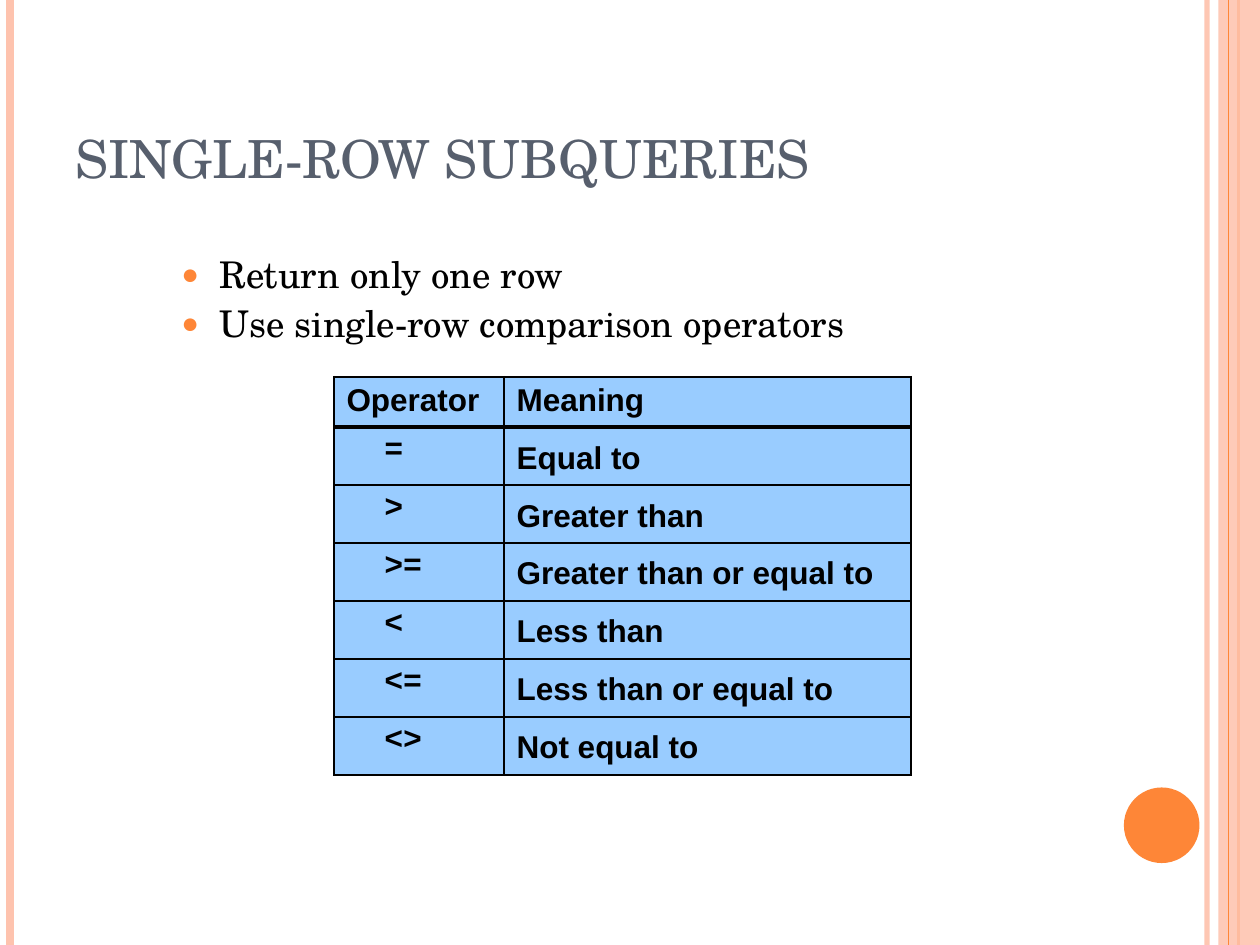
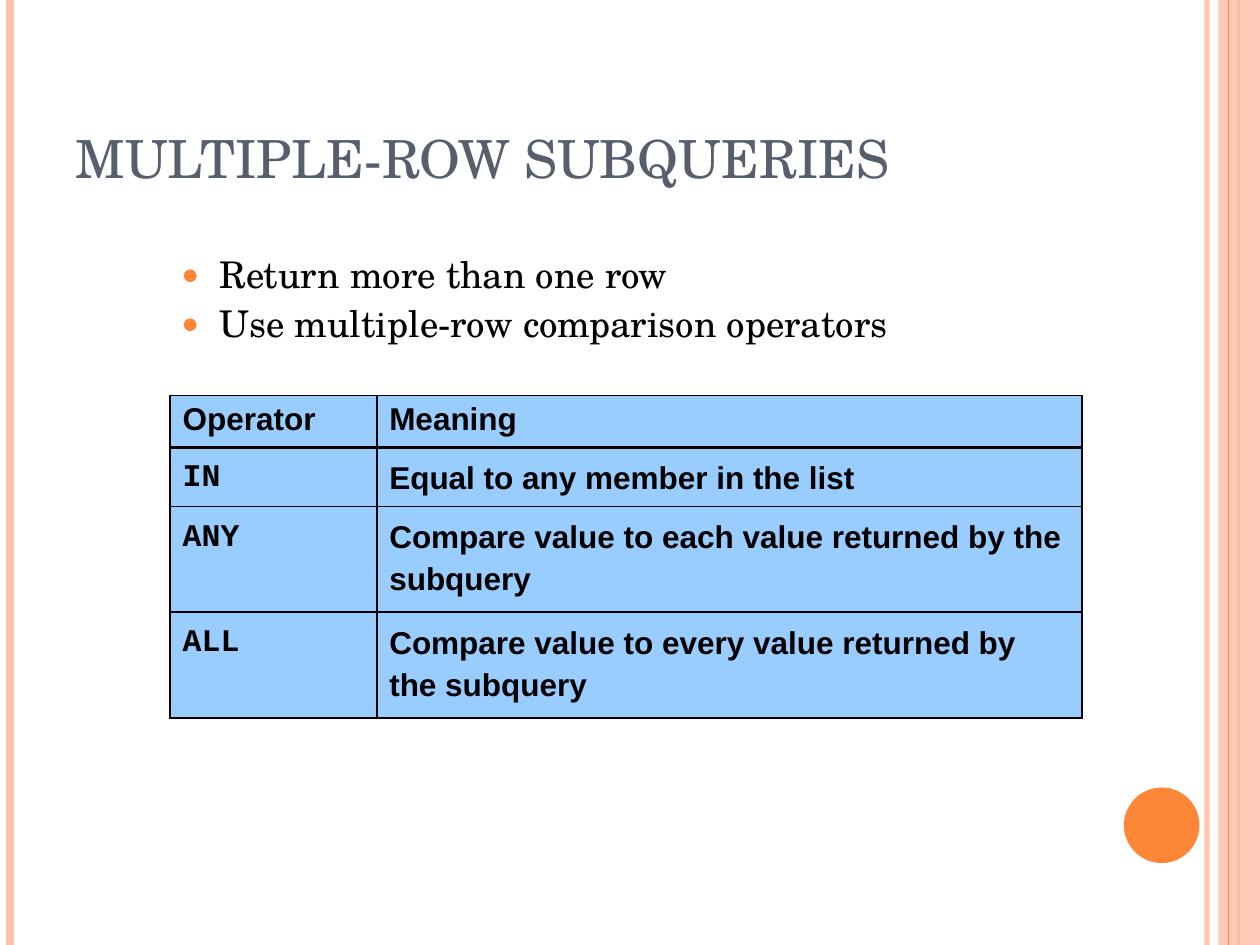
from dataclasses import dataclass

from lxml import etree
from pptx import Presentation
from pptx.dml.color import RGBColor
from pptx.enum.shapes import MSO_CONNECTOR, MSO_SHAPE
from pptx.enum.text import MSO_ANCHOR, MSO_AUTO_SIZE, PP_ALIGN
from pptx.oxml.ns import qn
from pptx.util import Inches, Pt

STRAIGHT = MSO_CONNECTOR.STRAIGHT
RECTANGLE, OVAL = MSO_SHAPE.RECTANGLE, MSO_SHAPE.OVAL
TOP, BOTTOM = MSO_ANCHOR.TOP, MSO_ANCHOR.BOTTOM
LEFT = PP_ALIGN.LEFT
NO_FIT = MSO_AUTO_SIZE.NONE

COLORS = {"peach": "FEC3AE", "orange": "FE8637", "slate": "575F6D",
          "cell": "99CCFF", "black": "000000"}
SERIF, SANS, MONO = "TeX Gyre Schola", "Arial", "Courier New"
SLIDE_WIDTH, SLIDE_HEIGHT = 10, 7.5
THIN, THICK = 1.08, 2.21


@dataclass(frozen=True)
class Stripe:
    x: float
    color: str
    weight: float
    opacity: int = 100


@dataclass(frozen=True)
class Panel:
    kind: int
    box: tuple[float, float, float, float]
    color: str
    opacity: int = 100


@dataclass(frozen=True)
class CellStyle:
    font: str
    paragraph: dict
    indent: float = 0


@dataclass(frozen=True)
class OperatorTable:
    left: float
    top: float
    columns: tuple[float, float]
    heights: list[float]
    operator_style: CellStyle
    meanings: list[tuple[str, str]]


@dataclass(frozen=True)
class Topic:
    title: str
    points: list[str]
    table: OperatorTable


# Frame shared by the slides, from back to front
FRAME = [
    Stripe(9.58, "peach", 3, 93),
    Stripe(0.08, "peach", 4.5),
    Stripe(9.83, "orange", 1.5),
    Panel(RECTANGLE, (9.67, 0, 0.33, SLIDE_HEIGHT), "peach", 87),
    Stripe(9.75, "orange", 0.75),
    Panel(OVAL, (8.92, 6.25, 0.6, 0.6), "orange"),
]

# Text formats
POINT_FORMAT = {"level": 1, "alignment": LEFT, "line_spacing": 0.9,
                "space_before": Pt(5.2)}
HEADER = CellStyle(SANS, {"space_before": Pt(4.5)})
ROOMY = {"line_spacing": 1.2, "space_before": Pt(13.5)}
MEANING = CellStyle(SANS, ROOMY)
KEYWORD = CellStyle(MONO, ROOMY)
SYMBOL = CellStyle(MONO, {"line_spacing": 0.95, "space_before": Pt(7.9)}, 0.3)

# Content
TOPICS = [
    Topic(
        "SINGLE-ROW SUBQUERIES",
        ["Return only one row", "Use single-row comparison operators"],
        OperatorTable(2.65, 2.99, (1.35, 3.23), [0.4] + [0.46] * 6, SYMBOL, [
            ("=", "Equal to"),
            (">", "Greater than"),
            (">=", "Greater than or equal to"),
            ("<", "Less than"),
            ("<=", "Less than or equal to"),
            ("<>", "Not equal to"),
        ]),
    ),
    Topic(
        "MULTIPLE-ROW SUBQUERIES",
        ["Return more than one row", "Use multiple-row comparison operators"],
        OperatorTable(1.35, 3.14, (1.64, 5.6), [0.41, 0.47, 0.84, 0.84], KEYWORD, [
            ("IN", "Equal to any member in the list"),
            ("ANY", "Compare value to each value returned by the subquery"),
            ("ALL", "Compare value to every value returned by the subquery"),
        ]),
    ),
]


def rgb(color: str) -> RGBColor:
    return RGBColor.from_string(COLORS[color])


def apply(target, values: dict) -> None:
    for attribute, value in values.items():
        setattr(target, attribute, value)


def style_font(font, name: str, size: float, color: str, bold: bool = False) -> None:
    apply(font, {"name": name, "size": Pt(size), "bold": bold})
    font.color.rgb = rgb(color)


def place(shape, left: float, top: float, width: float, height: float) -> None:
    apply(shape, {"left": Inches(left), "top": Inches(top),
                  "width": Inches(width), "height": Inches(height)})


def add_child(parent, tag: str, **attributes: str):
    return etree.SubElement(parent, qn(tag), attributes)


def set_opacity(shape, percent: int) -> None:
    if percent < 100:
        for color in shape.element.spPr.iter(qn("a:srgbClr")):
            add_child(color, "a:alpha", val=str(percent * 1000))


def draw_stripe(slide, stripe: Stripe) -> None:
    x = Inches(stripe.x)
    line = slide.shapes.add_connector(STRAIGHT, x, 0, x, Inches(SLIDE_HEIGHT))
    line.line.color.rgb = rgb(stripe.color)
    line.line.width = Pt(stripe.weight)
    add_child(line.element.spPr, "a:effectLst")
    set_opacity(line, stripe.opacity)


def draw_panel(slide, panel: Panel) -> None:
    shape = slide.shapes.add_shape(panel.kind, *map(Inches, panel.box))
    shape.fill.solid()
    shape.fill.fore_color.rgb = rgb(panel.color)
    shape.line.fill.background()
    shape.shadow.inherit = False
    set_opacity(shape, panel.opacity)


def draw_frame(slide) -> None:
    for part in FRAME:
        if isinstance(part, Stripe):
            draw_stripe(slide, part)
        else:
            draw_panel(slide, part)


def write_title(slide, text: str) -> None:
    title = slide.shapes.title
    place(title, 0.5, 0.3, 8.17, 1.25)
    title.text = text
    apply(title.text_frame, {"vertical_anchor": BOTTOM, "auto_size": NO_FIT})
    paragraph = title.text_frame.paragraphs[0]
    paragraph.alignment = LEFT
    style_font(paragraph.runs[0].font, SERIF, 30, "slate")


def add_bullet(paragraph) -> None:
    properties = paragraph._p.get_or_add_pPr()
    properties.set("marL", str(Inches(0.7)))
    properties.set("indent", str(Inches(-0.3)))
    color = add_child(properties, "a:buClr")
    add_child(color, "a:srgbClr", val=COLORS["orange"])
    add_child(properties, "a:buSzPct", val="80000")
    add_child(properties, "a:buChar", char="●")


def write_points(slide, points: list[str]) -> None:
    body = slide.placeholders[1]
    place(body, 0.94, 1.99, 8.06, 0.83)
    body.text = "\n".join(points)
    apply(body.text_frame, {"vertical_anchor": TOP, "auto_size": NO_FIT})
    for paragraph in body.text_frame.paragraphs:
        apply(paragraph, POINT_FORMAT)
        add_bullet(paragraph)
        style_font(paragraph.runs[0].font, SERIF, 21, "black")


def set_borders(cell, top: float, bottom: float) -> None:
    properties = cell._tc.get_or_add_tcPr()
    for side, weight in {"L": THIN, "R": THIN, "T": top, "B": bottom}.items():
        line = add_child(properties, f"a:ln{side}", w=str(Pt(weight)))
        fill = add_child(line, "a:solidFill")
        add_child(fill, "a:srgbClr", val=COLORS["black"])


def write_cell(cell, text: str, style: CellStyle) -> None:
    cell.text = text
    cell.vertical_anchor = TOP
    cell.fill.solid()
    cell.fill.fore_color.rgb = rgb("cell")
    paragraph = cell.text_frame.paragraphs[0]
    apply(paragraph, style.paragraph)
    if style.indent:
        paragraph._p.get_or_add_pPr().set("marL", str(Inches(style.indent)))
    style_font(paragraph.runs[0].font, style.font, 18, "black", bold=True)


def draw_table(slide, content: OperatorTable) -> None:
    rows = [("Operator", "Meaning"), *content.meanings]
    table = slide.shapes.add_table(
        len(rows), len(content.columns), Inches(content.left), Inches(content.top),
        Inches(sum(content.columns)), Inches(sum(content.heights))).table
    apply(table, {"first_row": False, "horz_banding": False})
    for column, width in zip(table.columns, content.columns):
        column.width = Inches(width)
    for row, height in zip(table.rows, content.heights):
        row.height = Inches(height)
    for r, texts in enumerate(rows):
        styles = (content.operator_style, MEANING) if r else (HEADER, HEADER)
        for c, (text, style) in enumerate(zip(texts, styles)):
            cell = table.cell(r, c)
            set_borders(cell, THICK if r == 1 else THIN, THICK if r == 0 else THIN)
            write_cell(cell, text, style)


def main() -> None:
    deck = Presentation()
    deck.slide_width, deck.slide_height = Inches(SLIDE_WIDTH), Inches(SLIDE_HEIGHT)
    title_and_content = deck.slide_layouts[1]
    for topic in TOPICS:
        slide = deck.slides.add_slide(title_and_content)
        draw_frame(slide)
        write_title(slide, topic.title)
        write_points(slide, topic.points)
        draw_table(slide, topic.table)
    deck.save("out.pptx")


if __name__ == "__main__":
    main()
